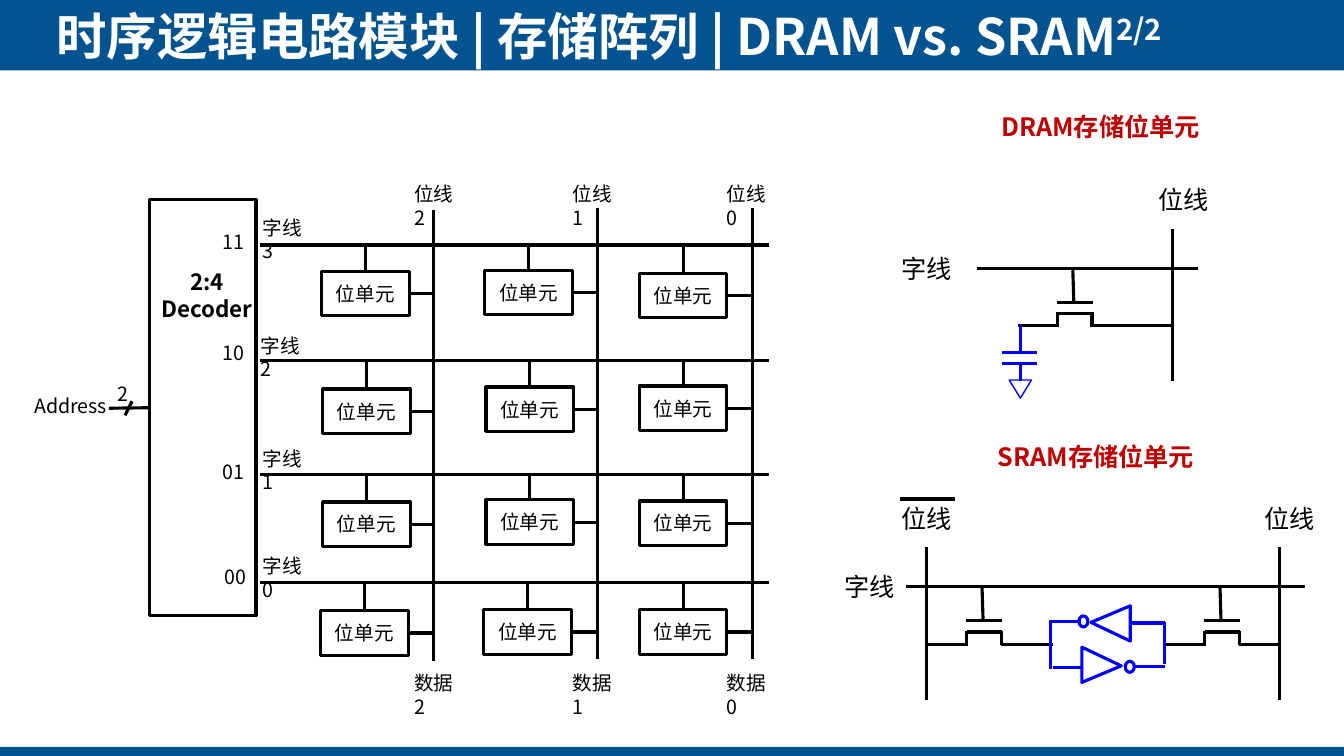
from lxml import etree
from pptx import Presentation
from pptx.dml.color import RGBColor
from pptx.enum.shapes import MSO_CONNECTOR, MSO_SHAPE
from pptx.enum.text import MSO_ANCHOR, PP_ALIGN
from pptx.oxml.ns import qn
from pptx.util import Inches, Pt

STRAIGHT = MSO_CONNECTOR.STRAIGHT
RECTANGLE = MSO_SHAPE.RECTANGLE
TRIANGLE = MSO_SHAPE.ISOSCELES_TRIANGLE
OVAL = MSO_SHAPE.OVAL
MIDDLE, TOP = MSO_ANCHOR.MIDDLE, MSO_ANCHOR.TOP
LEFT, CENTER = PP_ALIGN.LEFT, PP_ALIGN.CENTER
TOP_SIDE, LEFT_SIDE, RIGHT_SIDE = 0, 1, 3
BLACK, BLUE, RED, WHITE, NAVY = "000000", "0000FF", "C00000", "FFFFFF", "035390"
FONT = "Noto Sans CJK SC"


def color(code):
    """Turn a hex string into a colour."""
    return RGBColor.from_string(code)


def apply(target, values):
    """Set every attribute named in a dict of format values."""
    for name, value in values.items():
        setattr(target, name, value)


class CircuitSlide:
    """Style and drawing methods for one circuit slide."""

    def __init__(self, slide):
        """Keep the slide and the common line width."""
        self.slide = slide
        self.width = 2.25

    def fill_text(self, frame, text, size, ink=BLACK, bold=False, align=LEFT):
        """Fill a text frame, one paragraph for each line."""
        frame.text = text
        for paragraph in frame.paragraphs:
            paragraph.alignment = align
            for run in paragraph.runs:
                self.style_run(run, size, ink, bold)

    def style_run(self, run, size, ink, bold):
        """Give a run its font, size, weight and colour."""
        apply(run.font, {"name": FONT, "size": Pt(size), "bold": bold})
        run.font.color.rgb = color(ink)
        east_asian = etree.SubElement(run._r.get_or_add_rPr(), qn("a:ea"))
        east_asian.set("typeface", FONT)

    def title(self, text, superscript):
        """Place the title with a raised page count."""
        title = self.slide.shapes.title
        apply(title, {"left": Inches(0.56), "top": Inches(0.05),
                      "width": Inches(12.06), "height": Inches(0.61)})
        frame = title.text_frame
        margins = dict.fromkeys(
            ("margin_left", "margin_top", "margin_right", "margin_bottom"), 0)
        apply(frame, {"vertical_anchor": MIDDLE, "word_wrap": True, **margins})
        self.fill_text(frame, text, 36, WHITE, True)
        raised = frame.paragraphs[0].add_run()
        raised.text = superscript
        self.style_run(raised, 36, WHITE, True)
        raised._r.get_or_add_rPr().set("baseline", "30000")

    def bar(self, top, height):
        """Draw a full-width band behind the title."""
        bar = self.shape(RECTANGLE, 0, top, 13.33, height, None)
        bar.fill.solid()
        bar.fill.fore_color.rgb = color(NAVY)
        self.slide.shapes.title.element.addprevious(bar.element)

    def label(self, text, left, top, width, height, size=14, wrap=False, **style):
        """Place a text box."""
        box = self.slide.shapes.add_textbox(
            Inches(left), Inches(top), Inches(width), Inches(height))
        apply(box.text_frame, {"word_wrap": wrap, "vertical_anchor": TOP})
        self.fill_text(box.text_frame, text, size, **style)

    def shape(self, kind, left, top, width, height, ink=BLACK, weight=2.25, turn=0):
        """Draw an unfilled preset shape."""
        shape = self.slide.shapes.add_shape(
            kind, Inches(left), Inches(top), Inches(width), Inches(height))
        shape.shadow.inherit = False
        shape.rotation = turn
        shape.fill.background()
        if ink is None:
            shape.line.fill.background()
        else:
            shape.line.color.rgb = color(ink)
            shape.line.width = Pt(weight)
        return shape

    def line(self, x1, y1, x2, y2, ink=BLACK):
        """Draw a straight wire."""
        wire = self.slide.shapes.add_connector(
            STRAIGHT, Inches(x1), Inches(y1), Inches(x2), Inches(y2))
        wire.line.color.rgb = color(ink)
        wire.line.width = Pt(self.width)
        etree.SubElement(wire._element.spPr, qn("a:effectLst"))
        return wire

    def cell(self, left, top, word_y, bit_x):
        """Draw a bit cell joined to its word line and bit line."""
        width, height = 0.87, 0.44
        cell = self.shape(RECTANGLE, left, top, width, height)
        cell.text_frame.vertical_anchor = MIDDLE
        self.fill_text(cell.text_frame, "位单元", 14, align=CENTER)
        middle_x, middle_y = left + width / 2, top + height / 2
        self.line(middle_x, word_y, middle_x, top).end_connect(cell, TOP_SIDE)
        self.line(bit_x, middle_y, left + width, middle_y).end_connect(cell, RIGHT_SIDE)

    def transistor(self, x, y, right_end):
        """Draw an access transistor hanging from a word line."""
        self.line(x, y, x + 0.01, y + 0.33)
        self.line(x + 0.2, y + 0.34, x - 0.16, y + 0.34)
        self.line(x + 0.2, y + 0.45, x - 0.15, y + 0.45)
        for leg_x in (x + 0.19, x - 0.15):
            self.line(leg_x, y + 0.44, leg_x, y + 0.58)
        self.line(x - 0.14, y + 0.57, x - 0.54, y + 0.57)
        self.line(right_end, y + 0.57, x + 0.19, y + 0.57)

    def inverter(self, left, top, turn, bubble_left, bubble_top):
        """Draw an inverter with its output bubble."""
        gate = self.shape(TRIANGLE, left, top, 0.35, 0.39, BLUE, turn=turn)
        gate.adjustments[0] = 0.53
        self.shape(OVAL, bubble_left, bubble_top, 0.11, 0.09, BLUE, turn=90)


def draw_array(circuit):
    """Draw the decoder and the four by three memory array."""
    words = [(3, "11", 2.43, 2.51, 2.09, 2.11, 2.23),
             (2, "10", 3.58, 2.49, 3.26, 2.11, 3.33),
             (1, "01", 4.71, 2.51, 4.38, 2.11, 4.51),
             (0, "00", 5.78, 2.51, 5.45, 2.13, 5.56)]
    bits = [(2, 4.30, 2.08, 4.01, (3.19, 3.2, 3.2, 3.18), (2.69, 3.86, 4.98, 6.06)),
            (1, 5.93, 2.06, 5.58, (4.81, 4.82, 4.82, 4.8), (2.68, 3.84, 4.96, 6.05)),
            (0, 7.46, 2.06, 7.11, (6.34,) * 4, (2.71, 3.83, 4.97, 6.05))]
    decoder = circuit.shape(RECTANGLE, 1.48, 1.98, 1.06, 4.13)
    circuit.label("2:4\nDecoder", 1.48, 2.61, 1.15, 0.64, 16, bold=True, align=CENTER)
    for number, code, y, label_x, label_y, code_x, code_y in words:
        circuit.line(2.58, y, 7.63, y)
        circuit.label(f"字线{number}", label_x, label_y, 0.68, 0.34, wrap=True)
        circuit.label(code, code_x, code_y, 0.43, 0.34)
    for number, x, top, label_x, cell_lefts, cell_tops in bits:
        circuit.line(x, top, x, top + 4.48)
        for name, label_y in (("位线", 1.76), ("数据", 6.61)):
            circuit.label(f"{name}{number}", label_x, label_y, 0.68, 0.34, wrap=True)
        for word, left, cell_top in zip(words, cell_lefts, cell_tops):
            circuit.cell(left, cell_top, word[2], x)
    circuit.line(1.08, 4.05, 1.48, 4.05).end_connect(decoder, LEFT_SIDE)
    circuit.line(1.31, 3.98, 1.24, 4.12)
    circuit.label("Address", 0.24, 3.86, 0.96, 0.34)
    circuit.label("2", 1.07, 3.74, 0.32, 0.34)


def draw_dram(circuit):
    """Draw the one-transistor DRAM cell."""
    circuit.label("DRAM存储位单元", 9.77, 1.06, 2.29, 0.4, 18,
                  ink=RED, bold=True, align=CENTER)
    circuit.label("位线", 11.39, 1.78, 0.71, 0.4, 18)
    circuit.label("字线", 8.84, 2.46, 0.71, 0.4, 18)
    circuit.line(9.69, 2.66, 11.88, 2.66)
    circuit.line(11.63, 2.27, 11.63, 3.78)
    circuit.transistor(10.64, 2.66, 11.63)
    for top, bottom in ((3.22, 3.49), (3.62, 3.78)):
        circuit.line(10.12, top, 10.12, bottom, BLUE)
    for plate_y in (3.5, 3.61):
        circuit.line(10.29, plate_y, 9.94, plate_y, BLUE)
    circuit.shape(TRIANGLE, 10.01, 3.77, 0.22, 0.18, BLUE, 1, 180)


def draw_sram(circuit):
    """Draw the SRAM cell with its cross-coupled inverters."""
    circuit.label("SRAM存储位单元", 9.75, 4.33, 2.24, 0.4, 18,
                  ink=RED, bold=True, align=CENTER)
    for left in (12.44, 8.84):
        circuit.label("位线", left, 4.94, 0.71, 0.4, 18)
    circuit.label("字线", 8.28, 5.62, 0.71, 0.4, 18)
    circuit.line(9.47, 4.95, 8.93, 4.95)
    circuit.line(8.99, 5.82, 12.94, 5.82)
    for bit_x in (9.19, 12.69):
        circuit.line(bit_x, 5.43, bit_x, 6.94)
    circuit.transistor(9.74, 5.82, 10.44)
    circuit.transistor(12.1, 5.82, 12.69)
    circuit.inverter(10.84, 5.99, 270, 10.69, 6.12)
    circuit.inverter(10.75, 6.4, 90, 11.15, 6.57)
    for x1, y1, x2, y2 in ((11.55, 6.17, 11.55, 6.59), (11.55, 6.18, 11.21, 6.18),
                           (11.55, 6.61, 11.26, 6.61), (10.73, 6.62, 10.44, 6.62),
                           (10.72, 6.17, 10.42, 6.17), (10.42, 6.15, 10.42, 6.64)):
        circuit.line(x1, y1, x2, y2, BLUE)


def main():
    """Build and save the slide."""
    presentation = Presentation()
    apply(presentation, {"slide_width": Inches(13.33), "slide_height": Inches(7.5)})
    slide = presentation.slides.add_slide(presentation.slide_layouts[5])
    circuit = CircuitSlide(slide)
    circuit.bar(-0.03, 0.73)
    circuit.bar(7.41, 0.1)
    circuit.title("时序逻辑电路模块 | 存储阵列 | DRAM vs. SRAM", "2/2")
    draw_array(circuit)
    draw_dram(circuit)
    draw_sram(circuit)
    presentation.save("out.pptx")


if __name__ == "__main__":
    main()
